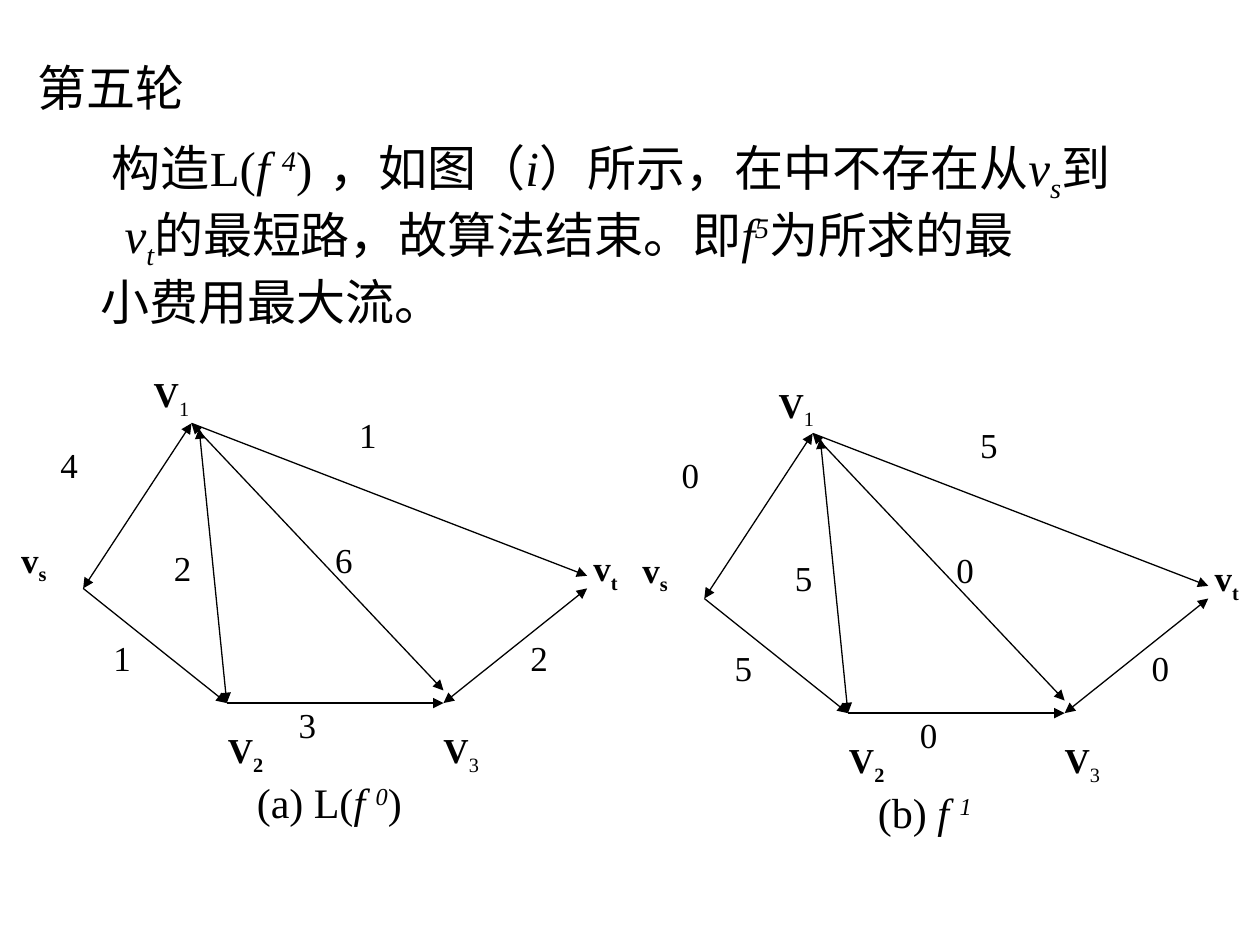
from lxml import etree
from pptx import Presentation
from pptx import util as u
from pptx.dml.color import RGBColor
from pptx.enum import shapes, text
from pptx.oxml import ns

LEFT, RIGHT, JUSTIFY = text.PP_ALIGN.LEFT, text.PP_ALIGN.RIGHT, text.PP_ALIGN.JUSTIFY
BASELINES = {"^": "30000", "_": "-25000"}


def color(hex_value):
    return RGBColor.from_string(hex_value)


class SlideBuilder:
    def __init__(self, slide):
        self.s = slide
        self.font = "Times New Roman"
        self.ink = "000000"
        self.line_width = 0.75

    def runs(self, p, parts, size):
        """Add (text, flags[, size]) runs; flags: b bold, i italic, ^ raised, _ lowered."""
        for content, flags, *own_size in parts:
            r = p.add_run()
            r.text = content
            f = r.font
            f.name, f.size = self.font, u.Pt(own_size[0] if own_size else size)
            f.bold, f.italic = "b" in flags, "i" in flags
            f.color.rgb = color(self.ink)
            for mark, value in BASELINES.items():
                if mark in flags:
                    r._r.get_or_add_rPr().set("baseline", value)

    def text_box(self, box, paragraphs, size, align=LEFT, inset=(0, 0),
                 anchor=text.MSO_ANCHOR.TOP, wrap=True):
        """Add a box of (first line indent, runs) paragraphs."""
        sp = self.s.shapes.add_textbox(*map(u.Inches, box))
        tf = sp.text_frame
        tf.word_wrap = wrap
        tf.vertical_anchor = anchor
        tf.margin_left = tf.margin_right = u.Inches(inset[0])
        tf.margin_top = tf.margin_bottom = u.Inches(inset[1])
        for n, (indent, parts) in enumerate(paragraphs):
            p = tf.add_paragraph() if n else tf.paragraphs[0]
            p.alignment = align
            if indent:
                p._p.get_or_add_pPr().set("indent", str(u.Inches(indent)))
            self.runs(p, parts, size)

    def label(self, x, y, parts, width=0.86, align=JUSTIFY):
        self.text_box((x, y, width, 0.61), [(0, parts)], 20, align)

    def arrow(self, start, end, both_ways):
        c = self.s.shapes.add_connector(
            shapes.MSO_CONNECTOR.STRAIGHT, *map(u.Inches, (*start, *end)))
        c.line.color.rgb = color(self.ink)
        c.line.width = u.Pt(self.line_width)
        ln = c.line._get_or_add_ln()
        for tag in ("a:headEnd", "a:tailEnd") if both_ways else ("a:tailEnd",):
            etree.SubElement(ln, ns.qn(tag), type="triangle")
        etree.SubElement(c._element.spPr, ns.qn("a:effectLst"))

    def network(self, dx, dy, weights, caption, caption_width):
        """Draw the flow network, moved by (dx, dy), with its edge weights."""
        for start, end, both_ways in EDGES:
            self.arrow((start[0] + dx, start[1] + dy), (end[0] + dx, end[1] + dy), both_ways)
        for (x, y), weight in zip(WEIGHT_PLACES, weights):
            self.label(x + dx, y + dy, [(weight, "")])
        for x, y, width, align, parts in NODE_LABELS:
            self.label(x + dx, y + dy, parts, width, align)
        self.text_box((1.94 + dx, 6.11 + dy, caption_width, 0.5), [(0, caption)], 24,
                      inset=(0.1, 0.05), wrap=False)


VS, V1, V2, V3, VT = (0.66, 4.67), (1.52, 3.36), (1.8, 5.58), (3.52, 5.58), (4.66, 4.67)
EDGES = [
    (VS, V1, True),
    (VS, V2, False),
    (V1, (4.66, 4.57), False),
    ((1.58, 3.4), V2, True),
    (V1, (3.52, 5.48), True),
    (V2, V3, False),
    (V3, VT, True),
]
# Same order as EDGES
WEIGHT_PLACES = [(0.48, 3.52), (0.9, 5.05), (2.85, 3.28), (1.38, 4.34),
                 (2.66, 4.27), (2.37, 5.58), (4.21, 5.05)]
NODE_LABELS = [
    (-0.2, 4.27, 0.57, RIGHT, [("v", "b"), ("s", "b_")]),
    (1.23, 5.78, 0.86, RIGHT, [("V", "b"), ("2", "b_")]),
    (3.52, 5.78, 0.86, JUSTIFY, [("V", "b"), ("3", "_")]),
    (4.71, 4.34, 0.29, JUSTIFY, [("v", "b"), ("t", "b_")]),
]
EXPLANATION = [
    (0, [("第五轮", "")]),
    (0.59, [("构造L(", ""), ("f ", "i"), ("4", "i^"), (")", ""), (" ", "", 40),
            ("，如图（", ""), ("i", "i"), ("）所示，在中不存在从", ""),
            ("v", "i"), ("s", "i_"), ("到", "")]),
    (0.69, [("v", "i"), ("t", "i_"), ("的最短路，故算法结束。即", ""),
            ("f", "i"), ("5", "i^"), ("为所求的最", "")]),
    (0.5, [("小费用最大流。", "")]),
]


def main():
    prs = Presentation()
    prs.slide_width, prs.slide_height = u.Inches(10), u.Inches(7.5)
    b = SlideBuilder(prs.slides.add_slide(prs.slide_layouts[6]))
    b.text_box((0.2, 0.36, 8.98, 2.36), EXPLANATION, 28,
               inset=(0.1, 0.05), anchor=text.MSO_ANCHOR.MIDDLE)
    b.network(0, 0, "4112632",
              [("(a) L(", ""), ("f ", "i"), ("0", "i^"), (")", "")], 1.43)
    b.network(4.93, 0.08, "0555000",
              [("(b) ", ""), ("f ", "i"), ("1", "i^")], 1.03)
    for x, y in ((1.22, 2.96), (6.18, 3.04)):
        b.label(x, y, [("V", "b"), ("1", "_")])
    prs.save("out.pptx")


if __name__ == "__main__":
    main()
